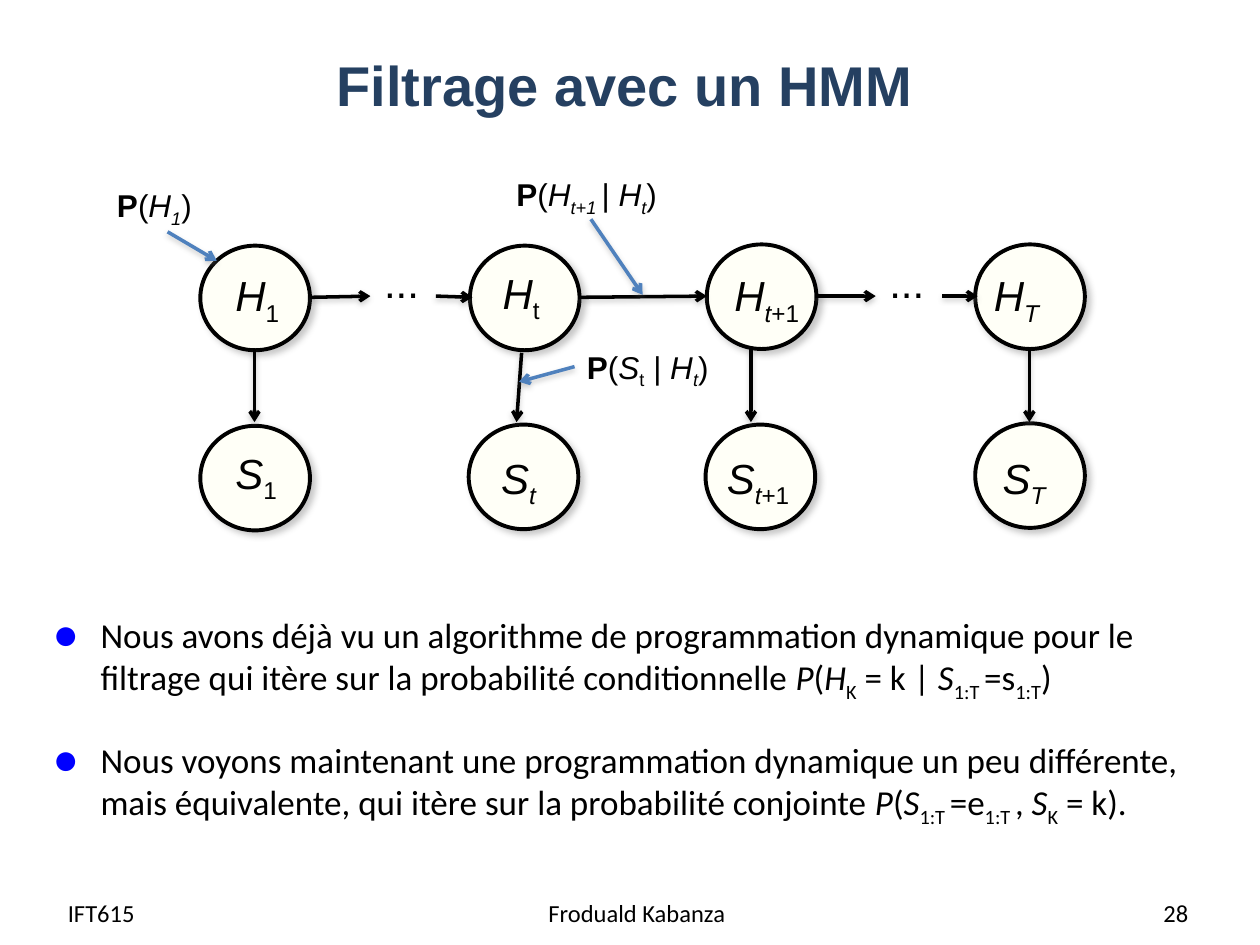
from typing import NamedTuple

from lxml.etree import SubElement as Sub
from pptx import Presentation
from pptx.dml.color import RGBColor
from pptx.enum.shapes import MSO_CONNECTOR as Conn, MSO_SHAPE as Kind
from pptx.enum.text import MSO_ANCHOR as Anchor, PP_ALIGN as Align
from pptx.oxml.ns import qn
from pptx.util import Inches, Pt

BLACK, BLUE, CREAM, NAVY = "000000", "4F81BD", "FFFFF7", "254061"
WIDE, HIGH = 0.87, 0.83


class Run(NamedTuple):
    """Styles: b bold, i italic, s subscript."""
    text: str
    style: str = ""


class Node(NamedTuple):
    left: float
    top: float
    text: tuple[float, float, float]
    runs: list[Run]


class Arrow(NamedTuple):
    start: tuple[float, float]
    end: tuple[float, float]
    color: str = BLACK


class Label(NamedTuple):
    box: tuple[float, float, float, float]
    runs: list[Run]


def rgb(code: str) -> RGBColor:
    return RGBColor.from_string(code)


def add_shadow(effects, alpha: int, blur: float, dist: float, angle: int) -> None:
    shade = Sub(effects, qn("a:outerShdw"), blurRad=str(Pt(blur)),
                dist=str(Pt(dist)), dir=str(angle * 60000), rotWithShape="0")
    tint = Sub(shade, qn("a:srgbClr"), val="808080")
    Sub(tint, qn("a:alpha"), val=str(alpha * 1000))


def add_bullet(para) -> None:
    props = para._p.get_or_add_pPr()
    props.set("marL", str(Inches(0.38)))
    props.set("indent", str(-Inches(0.38)))
    color = Sub(props, qn("a:buClr"))
    Sub(color, qn("a:srgbClr"), val="0000FF")
    Sub(props, qn("a:buSzPct"), val="125000")
    Sub(props, qn("a:buFont"), typeface="Arial")
    Sub(props, qn("a:buChar"), char="●")


def add_text(slide, box, *paras: list[Run], size=24, font="Arial", color=BLACK,
             align=Align.LEFT, anchor=Anchor.TOP, wrap=True, bullet=False) -> None:
    frame = slide.shapes.add_textbox(*map(Inches, box)).text_frame
    frame.word_wrap = wrap
    frame.vertical_anchor = anchor
    for n, runs in enumerate(paras):
        para = frame.add_paragraph() if n else frame.paragraphs[0]
        para.alignment = align
        if bullet:
            para.space_before = Pt(10 if n else 0)
            para.space_after = Pt(10)
            add_bullet(para)
        for text, style in runs:
            run = para.add_run()
            run.text = text
            face = run.font
            face.name, face.size = font, Pt(size)
            face.color.rgb = rgb(color)
            face.bold, face.italic = "b" in style, "i" in style
            if "s" in style:
                run._r.get_or_add_rPr().set("baseline", "-25000")


def add_node(slide, node: Node) -> None:
    disc = slide.shapes.add_shape(
        Kind.OVAL, *map(Inches, (node.left, node.top, WIDE, HIGH)))
    disc.fill.solid()
    disc.fill.fore_color.rgb = rgb(CREAM)
    disc.line.color.rgb = rgb(BLACK)
    disc.line.width = Pt(2.25)
    disc.shadow.inherit = False
    add_shadow(disc._element.spPr.find(qn("a:effectLst")), 43, 4, 3, 45)


def add_arrow(slide, arrow: Arrow) -> None:
    line = slide.shapes.add_connector(
        Conn.STRAIGHT, *map(Inches, arrow.start + arrow.end))
    line.line.color.rgb = rgb(arrow.color)
    line.line.width = Pt(2)
    Sub(line.line._get_or_add_ln(), qn("a:tailEnd"), type="arrow")
    add_shadow(Sub(line._element.spPr, qn("a:effectLst")), 38, 3.1, 1.6, 90)


H, S, P = Run("H", "i"), Run("S", "i"), Run("P", "b")
ONE, NEXT, TIME, LAST = Run("1", "s"), Run("+1", "s"), Run("t", "is"), Run("T", "is")
OPEN, CLOSE = Run("("), Run(")")
ITAL, SPAN, SPACED, KAY = Run("P", "i"), Run("1:T", "s"), Run("1:T ", "s"), Run("K", "s")

NODES = [
    Node(1.59, 1.95, (1.77, 2.09, 0.63), [H, ONE]),
    Node(1.59, 3.38, (1.77, 3.5, 0.63), [S, ONE]),
    Node(3.73, 1.95, (3.89, 2.07, 0.63), [H, Run("t", "s")]),
    Node(3.72, 3.37, (3.88, 3.54, 0.63), [S, TIME]),
    Node(5.61, 1.94, (5.73, 2.09, 0.76), [H, TIME, NEXT]),
    Node(5.6, 3.37, (5.67, 3.54, 0.76), [S, TIME, NEXT]),
    Node(7.74, 1.94, (7.79, 2.09, 0.76), [H, LAST]),
    Node(7.74, 3.36, (7.86, 3.54, 0.63), [S, LAST]),
]
ARROWS = [
    Arrow((2.46, 2.36), (2.94, 2.35)),
    Arrow((3.46, 2.35), (3.75, 2.36)),
    Arrow((4.59, 2.36), (5.61, 2.35)),
    Arrow((6.47, 2.35), (6.95, 2.35)),
    Arrow((7.48, 2.35), (7.76, 2.35)),
    Arrow((2.02, 2.77), (2.02, 3.35)),
    Arrow((4.14, 2.8), (4.1, 3.35)),
    Arrow((5.96, 2.76), (5.96, 3.35)),
    Arrow((8.17, 2.77), (8.17, 3.35)),
    Arrow((1.33, 1.84), (1.72, 2.07), BLUE),
    Arrow((4.69, 1.74), (5.1, 2.34), BLUE),
    Arrow((4.56, 2.91), (4.12, 3.03), BLUE),
]
LABELS = [
    Label((0.83, 1.43, 0.81, 0.4), [P, OPEN, H, Run("1", "is"), CLOSE]),
    Label((4, 1.34, 1.37, 0.4),
          [P, OPEN, H, Run("t+1 ", "is"), Run("| "), H, TIME, CLOSE]),
    Label((4.56, 2.71, 1.19, 0.4),
          [P, OPEN, S, Run("t", "s"), Run(" | "), H, TIME, CLOSE]),
]
POINTS = [
    [Run("Nous avons déjà vu un algorithme de programmation dynamique pour le "
         "filtrage qui itère sur la probabilité conditionnelle "),
     ITAL, OPEN, H, KAY, Run(" = k | "), S, SPACED, Run("=s"), SPAN, CLOSE],
    [Run("Nous voyons maintenant une programmation dynamique un peu différente, "
         "mais équivalente, qui itère sur la probabilité conjointe "),
     ITAL, OPEN, S, SPACED, Run("=e"), SPACED, Run(", "), S, KAY, Run(" = k).")],
]
FOOTERS = [
    (0.44, 1.93, "IFT615", Align.LEFT),
    (3.47, 3.17, "Froduald Kabanza", Align.CENTER),
    (7.2, 2.33, "28", Align.RIGHT),
]


def main() -> None:
    deck = Presentation()
    deck.slide_width, deck.slide_height = Inches(10), Inches(7.5)
    slide = deck.slides.add_slide(deck.slide_layouts[6])
    add_text(slide, (0.46, 0.04, 9, 1.25), [Run("Filtrage avec un HMM", "b")],
             size=32, color=NAVY, align=Align.CENTER, anchor=Anchor.MIDDLE)
    add_text(slide, (0.32, 4.82, 9.37, 2.2), *POINTS,
             size=20, font="Calibri", bullet=True)
    for left, width, text, align in FOOTERS:
        add_text(slide, (left, 7.04, width, 0.4), [Run(text)], size=14,
                 font="Calibri", align=align, anchor=Anchor.MIDDLE)
    for node in NODES:
        add_node(slide, node)
        add_text(slide, (*node.text, 0.51), node.runs)
    for left in (2.95, 6.96):
        add_text(slide, (left, 1.99, 0.54, 0.51), [Run("...")])
    for label in LABELS:
        add_text(slide, label.box, label.runs, size=18, wrap=False)
    for arrow in ARROWS:
        add_arrow(slide, arrow)
    deck.save("out.pptx")


if __name__ == "__main__":
    main()
